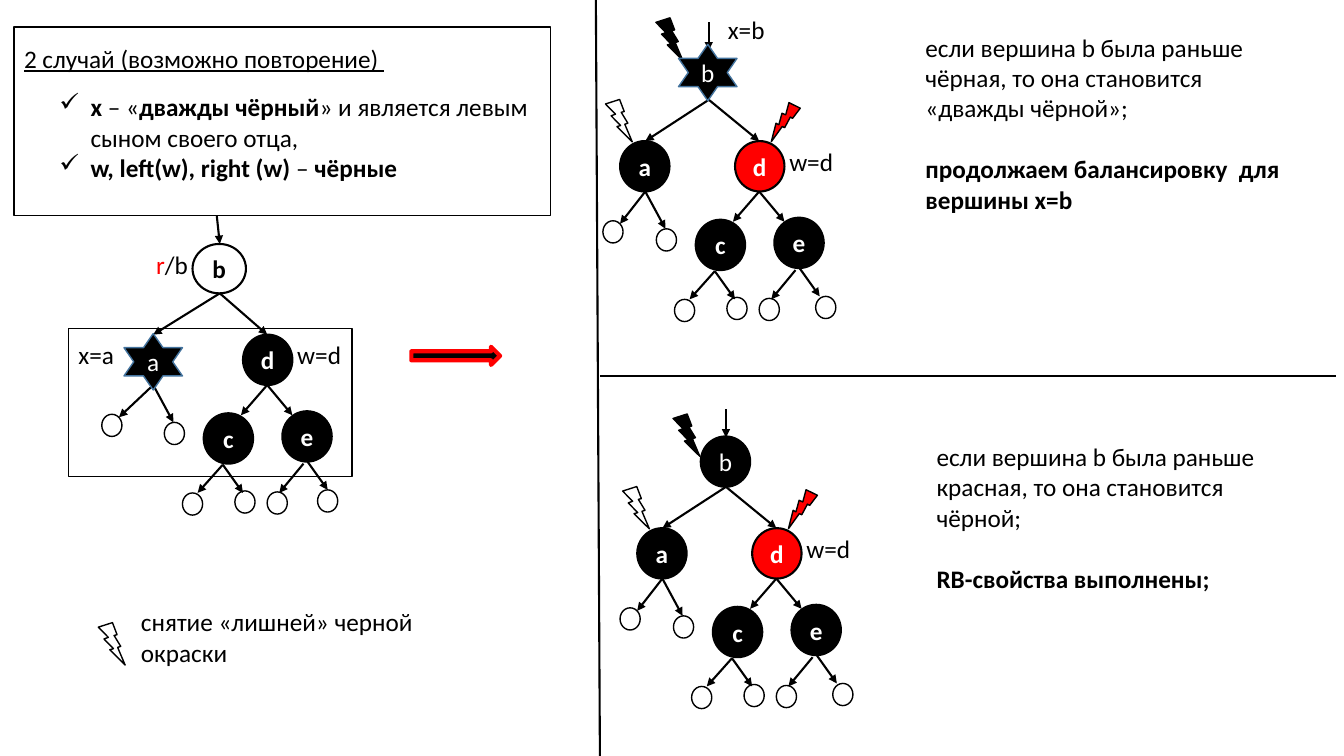
from lxml.etree import SubElement
from pptx import Presentation
from pptx.dml.color import RGBColor
from pptx.enum.shapes import MSO_CONNECTOR, MSO_SHAPE
from pptx.enum.text import MSO_ANCHOR, MSO_AUTO_SIZE, PP_ALIGN
from pptx.oxml.ns import qn
from pptx.util import Inches, Pt

BLACK, WHITE, RED, STAR_EDGE = "000000", "FFFFFF", "FF0000", "43739E"
NODE_SIZE = 0.49, 0.5
LEAF_SIZE = 0.2, 0.22
STAR_SIZE = 0.58, 0.56


def color(value):
    return RGBColor.from_string(value)


def write(paragraph, text, size=18, font="Calibri", fill=BLACK, bold=False, underline=False):
    run = paragraph.add_run()
    run.text = text
    run.font.size = Pt(size)
    run.font.name = font
    run.font.color.rgb = color(fill)
    run.font.bold = bold
    run.font.underline = underline


class TreeSlide:
    def __init__(self, slide):
        self.shapes = slide.shapes

    def shape(self, kind, x, y, size, fill=None, edge=BLACK, weight=1.0, rotation=0):
        width, height = size
        shape = self.shapes.add_shape(kind, Inches(x), Inches(y), Inches(width), Inches(height))
        shape.shadow.inherit = False
        shape.rotation = rotation
        if fill:
            shape.fill.solid()
            shape.fill.fore_color.rgb = color(fill)
        else:
            shape.fill.background()
        shape.line.color.rgb = color(edge)
        shape.line.width = Pt(weight)
        return shape

    def node(self, label, x, y, kind=MSO_SHAPE.OVAL, size=NODE_SIZE, fill=BLACK,
             edge=BLACK, weight=1.5, ink=WHITE, bold=True):
        frame = self.shape(kind, x, y, size, fill, edge, weight).text_frame
        frame.word_wrap = False
        frame.vertical_anchor = MSO_ANCHOR.MIDDLE
        frame.margin_left = frame.margin_right = 0
        frame.margin_top = frame.margin_bottom = 0
        frame.paragraphs[0].alignment = PP_ALIGN.CENTER
        write(frame.paragraphs[0], label, fill=ink, bold=bold)

    def star(self, label, x, y):
        self.node(label, x, y, MSO_SHAPE.STAR_6_POINT, STAR_SIZE,
                  edge=STAR_EDGE, weight=1, bold=False)

    def bolt(self, x, y, fill, size=(0.33, 0.39), rotation=10.6):
        self.shape(MSO_SHAPE.LIGHTNING_BOLT, x, y, size, fill, rotation=rotation)

    def line(self, start, end, arrow=False):
        points = [Inches(value) for value in (*start, *end)]
        connector = self.shapes.add_connector(MSO_CONNECTOR.STRAIGHT, *points)
        connector.line.color.rgb = color(BLACK)
        connector.line.width = Pt(1.5)
        if arrow:
            SubElement(connector.line._get_or_add_ln(), qn("a:tailEnd"), type="triangle")
        SubElement(connector._element.spPr, qn("a:effectLst"))

    def text(self, x, y, width, height, paragraphs, wrap=True, gap=0, bullet=None):
        box = self.shapes.add_textbox(Inches(x), Inches(y), Inches(width), Inches(height))
        frame = box.text_frame
        frame.word_wrap = wrap
        frame.auto_size = MSO_AUTO_SIZE.SHAPE_TO_FIT_TEXT
        for index, runs in enumerate(paragraphs):
            paragraph = frame.add_paragraph() if index else frame.paragraphs[0]
            if index and gap:
                paragraph.space_before = Pt(gap)
            for words, style in runs:
                write(paragraph, words, **style)
            if bullet:
                properties = paragraph._p.get_or_add_pPr()
                indent = Inches(0.31)
                properties.set("marL", str(indent))
                properties.set("indent", str(-indent))
                SubElement(properties, qn("a:buChar"), char=bullet)

    def label(self, words, x, y, width=0.64):
        self.text(x, y, width, 0.4, [[(words, {})]], wrap=False)

    def tree(self, x, y, root_x, outer_leaves, d_fill):
        left_leaf, right_leaf = outer_leaves
        root = root_x - x, 0
        edges = [
            ((0, -0.77), (root[0], -0.49)),
            (root, (-0.63, 0.41)), (root, (0.5, 0.41)),
            ((-0.63, 0.91), (left_leaf + 0.17, 1.23)), ((-0.63, 0.91), (-0.43, 1.28)),
            ((0.5, 0.91), (0.24, 1.21)), ((0.5, 0.91), (0.75, 1.21)),
            ((0.06, 1.7), (-0.19, 1.98)), ((0.06, 1.7), (0.26, 1.98)),
            ((0.86, 1.69), (0.62, 1.98)), ((0.9, 1.67), (1.1, 1.95)),
        ]
        for start, end in edges:
            self.line((x + start[0], y + start[1]), (x + end[0], y + end[1]), arrow=True)
        leaves = [(left_leaf, 1.2), (-0.52, 1.28), (-0.34, 1.98),
                  (0.18, 1.96), (0.5, 1.97), (right_leaf, 1.95)]
        for dx, dy in leaves:
            self.shape(MSO_SHAPE.OVAL, x + dx, y + dy, LEAF_SIZE)
        for name, dx, dy, fill in (("d", 0.26, 0.41, d_fill), ("c", -0.13, 1.19, BLACK),
                                   ("e", 0.65, 1.17, BLACK)):
            self.node(name, x + dx, y + dy, fill=fill)
        self.label("w=d", x + 0.7, y + 0.41)

    def recolored_tree(self, x, y, black_bolt_y):
        self.tree(x, y, x, (-1.05, 1.06), RED)
        self.node("а", x - 0.88, y + 0.41)
        self.bolt(x + 0.61, y, RED, (0.26, 0.41), 62)
        self.bolt(x - 1.05, y, WHITE)
        self.bolt(x - 0.55, black_bolt_y, BLACK)


def main():
    presentation = Presentation()
    presentation.slide_width = Inches(13.33)
    presentation.slide_height = Inches(7.5)
    page = TreeSlide(presentation.slides.add_slide(presentation.slide_layouts[6]))
    bold = {"bold": True}

    page.shape(MSO_SHAPE.RECTANGLE, 0.14, 0.27, (5.32, 1.87))
    page.text(0.14, 0.38, 3.94, 0.4,
              [[("2 случай (возможно повторение) ", {"underline": True})]], wrap=False)
    page.text(0.49, 0.86, 5.13, 1.01, [
        [("x", bold), (" – «", {}), ("дважды чёрный", bold),
         ("» и является левым сыном своего отца,", {})],
        [("w, left(w), right (w)", bold), (" – ", {}), ("чёрные", bold)],
    ], bullet="✓")

    page.tree(2.15, 2.91, 2.18, (-1.14, 1), BLACK)
    page.node("b", 1.91, 2.42, size=(0.53, 0.49), fill=None, ink=BLACK)
    page.star("a", 1.23, 3.31)
    page.text(1.45, 2.42, 0.52, 0.4, [[("r", {"fill": RED}), ("/b", {})]], wrap=False)
    page.label("x=a", 0.68, 3.32, 0.62)
    page.shape(MSO_SHAPE.RECTANGLE, 0.68, 3.26, (2.81, 1.47))

    page.shape(MSO_SHAPE.RIGHT_ARROW, 4.08, 3.44, (0.88, 0.18), BLACK, RED, 3)
    page.bolt(0.95, 6.18, WHITE)
    page.text(1.3, 5.97, 2.97, 0.71, [[("снятие «лишней» черной окраски", {})]])

    page.recolored_tree(7.03, 0.99, 0.18)
    page.star("b", 6.73, 0.44)
    page.label("x=b", 7.12, 0.09, 0.62)
    page.text(9.08, 0.27, 3.78, 1.92, [
        [("если вершина b была раньше чёрная, то она становится «дважды чёрной»;", {})],
        [("продолжаем балансировку  для вершины x=b", bold)],
    ], gap=22)

    page.recolored_tree(7.2, 4.83, 4.11)
    page.node("b", 6.95, 4.33, bold=False)
    page.text(9.19, 4.33, 3.42, 1.62, [
        [("если вершина b была раньше красная, то она становится чёрной;", {})],
        [("RB-свойства выполнены;", bold)],
    ], gap=22)

    page.line((5.95, 3.73), (13.25, 3.73))
    page.line((5.91, 0), (5.95, 7.5))

    presentation.save("out.pptx")


if __name__ == "__main__":
    main()
